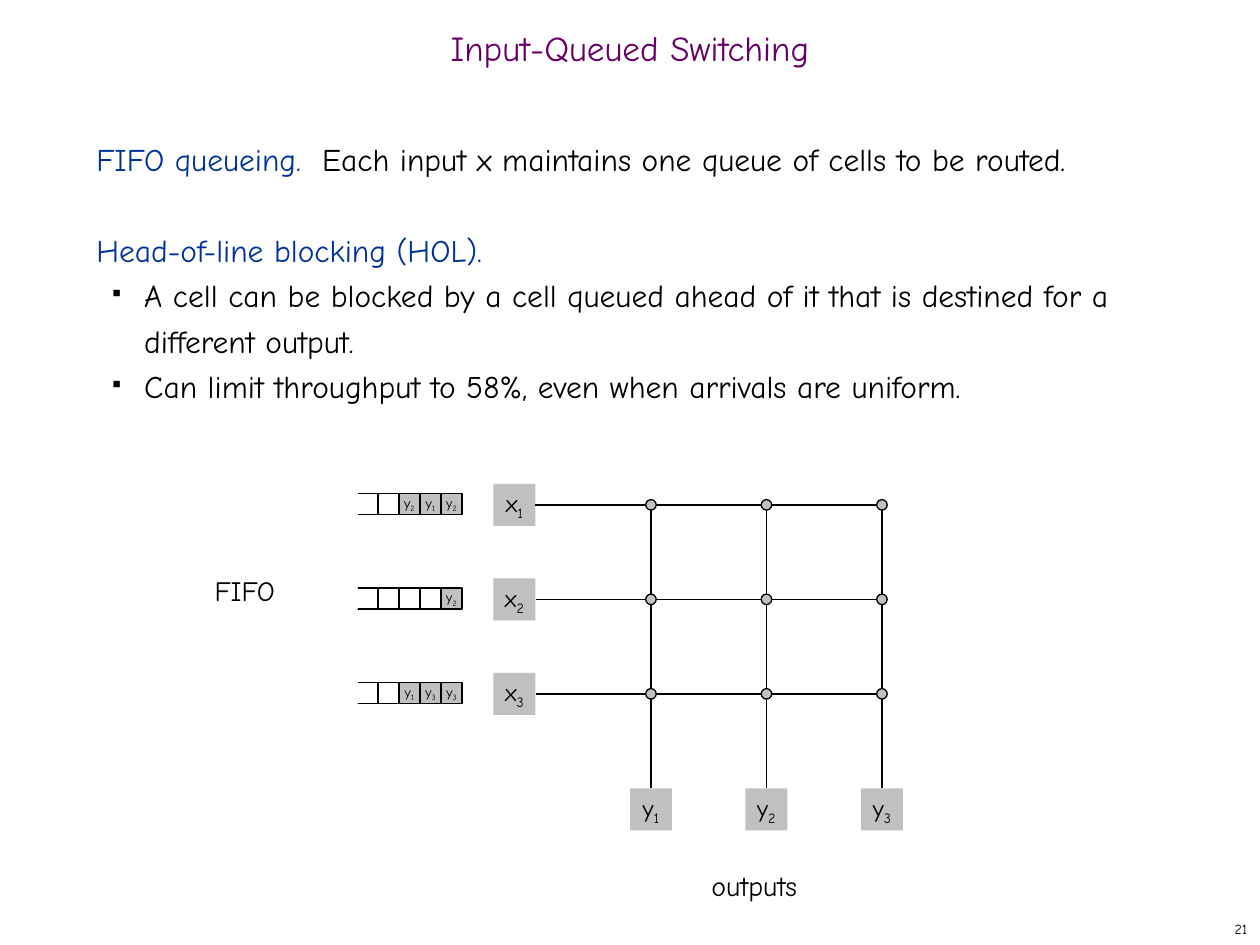
from lxml.etree import SubElement
from pptx import Presentation
from pptx.dml.color import RGBColor
from pptx.enum.shapes import MSO_CONNECTOR as Link, MSO_SHAPE as Shape
from pptx.enum.text import MSO_ANCHOR as Anchor, PP_ALIGN as Align
from pptx.oxml.ns import qn
from pptx.util import Pt

FONT = "Comic Neue"
COLORS = {"title": "660066", "term": "003399", "ink": "000000",
          "gray": "C0C0C0", "white": "FFFFFF"}
QUEUES = ["212", "2", "133"]
PITCH = 54


def rgb(name):
    """Look up a named colour."""
    return RGBColor.from_string(COLORS[name])


def apply(target, **values):
    """Set each given attribute on the target."""
    for name, value in values.items():
        setattr(target, name, value)


def write(paragraph, text, size, color="ink", subscript=False):
    """Append a run of text to a paragraph."""
    run = paragraph.add_run()
    run.text = text
    apply(run.font, name=FONT, size=Pt(size))
    run.font.color.rgb = rgb(color)
    if subscript:
        run._r.get_or_add_rPr().set("baseline", "-25000")


def add_bullet(paragraph):
    """Give a paragraph a small square bullet with a hanging indent."""
    paragraph.level = 1
    props = paragraph._p.get_or_add_pPr()
    props.set("marL", str(Pt(27.36)))
    props.set("indent", str(Pt(-18)))
    SubElement(SubElement(props, qn("a:buClr")), qn("a:srgbClr"), val=COLORS["ink"])
    SubElement(props, qn("a:buSzPct"), val="35000")
    SubElement(props, qn("a:buChar"), char="■")


def add_block(slide, kind, box, fill="gray", line="ink"):
    """Draw a filled shape, outlined if a line colour is given."""
    block = slide.shapes.add_shape(kind, *map(Pt, box))
    block.shadow.inherit = False
    block.fill.solid()
    block.fill.fore_color.rgb = rgb(fill)
    if line:
        block.line.color.rgb = rgb(line)
        block.line.width = Pt(0.75)
    else:
        block.line.fill.background()
    return block


def label_block(block, letter, index, size):
    """Centre a letter with a subscript in a block."""
    apply(block.text_frame, word_wrap=False, vertical_anchor=Anchor.MIDDLE)
    label = block.text_frame.paragraphs[0]
    label.alignment = Align.CENTER
    write(label, letter, size)
    write(label, index, size, subscript=True)


def add_caption(slide, box, text, size, align=Align.LEFT, anchor=Anchor.TOP):
    """Place a one-line caption in a box wide enough to hold it."""
    frame = slide.shapes.add_textbox(*map(Pt, box)).text_frame
    apply(frame, word_wrap=True, vertical_anchor=anchor)
    frame.paragraphs[0].alignment = align
    write(frame.paragraphs[0], text, size)


def fill_title(slide, box, text):
    """Move and format the title placeholder."""
    title = slide.shapes.title
    apply(title, **dict(zip(("left", "top", "width", "height"), map(Pt, box))))
    apply(title.text_frame, word_wrap=True, vertical_anchor=Anchor.MIDDLE)
    heading = title.text_frame.paragraphs[0]
    apply(heading, alignment=Align.CENTER, line_spacing=0.7)
    write(heading, text, 20, "title")


def add_explanation(slide, box):
    """Write the definitions and the bulleted consequences."""
    frame = slide.shapes.add_textbox(*map(Pt, box)).text_frame
    frame.word_wrap = True
    fifo = frame.paragraphs[0]
    write(fifo, "FIFO queueing.  ", 18, "term")
    write(fifo, "Each input x maintains one queue of cells to be routed.", 18)
    blocking = frame.add_paragraph()
    write(blocking, "Head-of-line blocking (HOL).", 18, "term")
    for paragraph in (fifo, blocking):
        paragraph.line_spacing = Pt(26)
    fifo.space_after = Pt(26)
    for text in (
        "A cell can be blocked by a cell queued ahead of it that is destined for a different output.",
        "Can limit throughput to 58%, even when arrivals are uniform.",
    ):
        effect = frame.add_paragraph()
        effect.line_spacing = Pt(26)
        write(effect, text, 18)
        add_bullet(effect)


def add_queue(slide, box, waiting, slots=6):
    """Draw an open-ended queue whose waiting cells sit at the right."""
    left, top, width, height = box
    side = width / slots
    cells = waiting.rjust(slots)
    for slot in reversed(range(slots)):
        output = cells[slot].strip()
        cell = add_block(slide, Shape.RECTANGLE, (left + slot * side, top, side, height),
                         "gray" if output else "white", "ink" if slot else "white")
        if output:
            label_block(cell, "y", output, 8)


def add_port(slide, left, top, letter, number):
    """Draw one labelled input or output port."""
    port = add_block(slide, Shape.RECTANGLE, (left, top, 24, 24), line=None)
    label_block(port, letter, str(number), 14)
    return port


def add_wire(slide, source, target):
    """Join an input to an output with a single right-angle bend."""
    wire = slide.shapes.add_connector(Link.ELBOW, 0, 0, 0, 0)
    wire.begin_connect(source, 3)
    wire.end_connect(target, 0)
    wire.line.color.rgb = rgb("ink")
    wire.line.width = Pt(0.75)
    props = wire._element.spPr
    props.find(qn("a:prstGeom")).set("prst", "bentConnector2")
    SubElement(props, qn("a:effectLst"))


def add_crossbar(slide, box):
    """Draw the ports, wires and crosspoints of the switch."""
    left, top, width, height = box
    columns = [left + 78 + 66 * i for i in range(3)]
    rows = [top + PITCH * i for i in range(3)]
    inputs = [add_port(slide, left, y, "x", i) for i, y in enumerate(rows, 1)]
    outputs = [add_port(slide, x, top + height - 24, "y", i)
               for i, x in enumerate(columns, 1)]
    for output in reversed(outputs):
        add_wire(slide, inputs[0], output)
    for source in inputs[1:]:
        add_wire(slide, source, outputs[-1])
    for y in rows:
        for x in columns:
            add_block(slide, Shape.OVAL, (x + 9, y + 9, 6, 6))


def main():
    """Build and save the slide."""
    deck = Presentation()
    apply(deck, slide_width=Pt(720), slide_height=Pt(540))
    slide = deck.slides.add_slide(deck.slide_layouts[5])
    fill_title(slide, (0, 12, 720, 36), "Input-Queued Switching")
    add_explanation(slide, (48, 72, 618, 426))
    add_caption(slide, (115.5, 324, 54, 27), "FIFO", 16)
    add_caption(slide, (399.5, 492.5, 72, 27), "outputs", 16)
    for row, waiting in enumerate(QUEUES):
        add_queue(slide, (192, 282 + PITCH * row, 72, 12), waiting)
    add_crossbar(slide, (282, 276.5, 234, 198))
    add_caption(slide, (570, 522, 150, 18), "21", 8, Align.RIGHT, Anchor.MIDDLE)
    deck.save("out.pptx")


if __name__ == "__main__":
    main()
